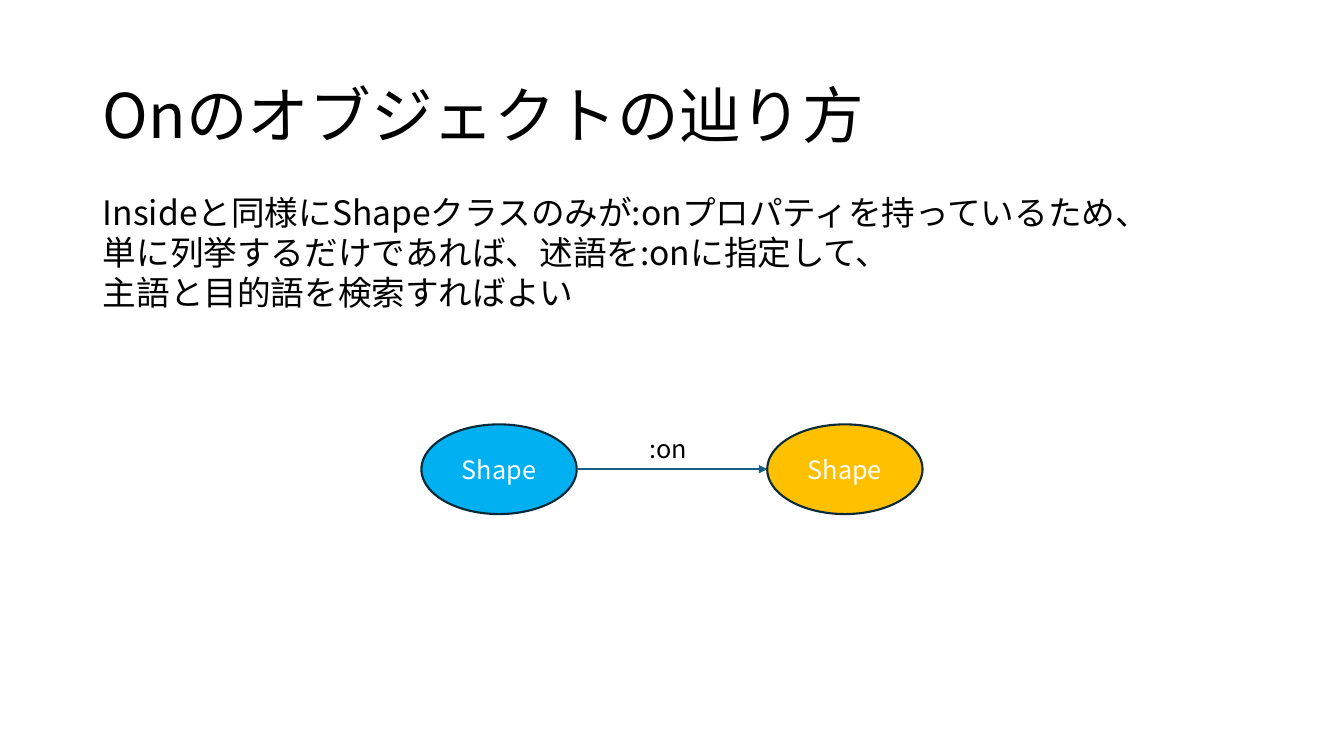
from pptx import Presentation
from pptx.dml.color import RGBColor
from pptx.enum import shapes, text
from pptx.oxml.ns import qn
from pptx.util import Inches, Pt
from lxml import etree

FONT = "Noto Sans CJK JP"
TITLE = "Onのオブジェクトの辿り方"
EXPLANATION = (
    "Insideと同様にShapeクラスのみが:onプロパティを持っているため、",
    "単に列挙するだけであれば、述語を:onに指定して、",
    "主語と目的語を検索すればよい",
)
NODES = (("Shape", "00B0F0"), ("Shape", "FFC000"))
PREDICATE = ":on"

MARGIN, CONTENT_WIDTH = 0.92, 11.5
NODE_LEFT, NODE_TOP, NODE_WIDTH, NODE_HEIGHT = 4.18, 4.21, 1.54, 0.89
NODE_STEP = 3.43


def color(value):
    return RGBColor.from_string(value)


def place(item, left, top, width, height):
    item.left, item.top = Inches(left), Inches(top)
    item.width, item.height = Inches(width), Inches(height)


def write(item, content, size, ink="000000", align=text.PP_ALIGN.LEFT,
          anchor=text.MSO_ANCHOR.TOP):
    frame = item.text_frame
    frame.text = content
    frame.word_wrap = True
    frame.auto_size = text.MSO_AUTO_SIZE.NONE
    frame.vertical_anchor = anchor
    paragraph = frame.paragraphs[0]
    paragraph.alignment = align
    paragraph.space_before = Pt(0)
    paragraph.line_spacing = Pt(size * 1.2)
    font = paragraph.font
    font.size, font.name = Pt(size), FONT
    font.color.rgb = color(ink)
    defaults = paragraph._p.pPr.find(qn("a:defRPr"))
    etree.SubElement(defaults, qn("a:ea"), typeface=FONT)
    return paragraph


def main():
    deck = Presentation()
    deck.slide_width, deck.slide_height = Inches(13.33), Inches(7.5)
    slide = deck.slides.add_slide(deck.slide_layouts[1])

    title, explanation = slide.placeholders
    place(title, MARGIN, 0.4, CONTENT_WIDTH, 1.45)
    write(title, TITLE, 44, anchor=text.MSO_ANCHOR.MIDDLE)

    place(explanation, MARGIN, 1.85, CONTENT_WIDTH, 1.31)
    properties = write(explanation, "\v".join(EXPLANATION), 24)._p.pPr
    properties.set("marL", "0")
    properties.set("indent", "0")
    properties.find(qn("a:defRPr")).addprevious(etree.Element(qn("a:buNone")))

    for index, (label, fill) in enumerate(NODES):
        node = slide.shapes.add_shape(
            shapes.MSO_SHAPE.OVAL, Inches(NODE_LEFT + index * NODE_STEP),
            Inches(NODE_TOP), Inches(NODE_WIDTH), Inches(NODE_HEIGHT))
        node.shadow.inherit = False
        node.fill.solid()
        node.fill.fore_color.rgb = color(fill)
        node.line.color.rgb = color("092A39")
        node.line.width = Pt(1.5)
        write(node, label, 18, "FFFFFF", text.PP_ALIGN.CENTER,
              text.MSO_ANCHOR.MIDDLE)

    middle = Inches(NODE_TOP + NODE_HEIGHT / 2)
    arrow = slide.shapes.add_connector(
        shapes.MSO_CONNECTOR.STRAIGHT, Inches(NODE_LEFT + NODE_WIDTH), middle,
        Inches(NODE_LEFT + NODE_STEP), middle)
    arrow.line.color.rgb = color("156082")
    arrow.line.width = Pt(1.5)
    etree.SubElement(arrow.line._get_or_add_ln(), qn("a:tailEnd"), type="triangle")
    etree.SubElement(arrow._element.spPr, qn("a:effectLst"))

    predicate = slide.shapes.add_textbox(
        Inches(6.34), Inches(4.25), Inches(0.66), Inches(0.4))
    write(predicate, PREDICATE, 18)

    deck.save("out.pptx")


if __name__ == "__main__":
    main()
